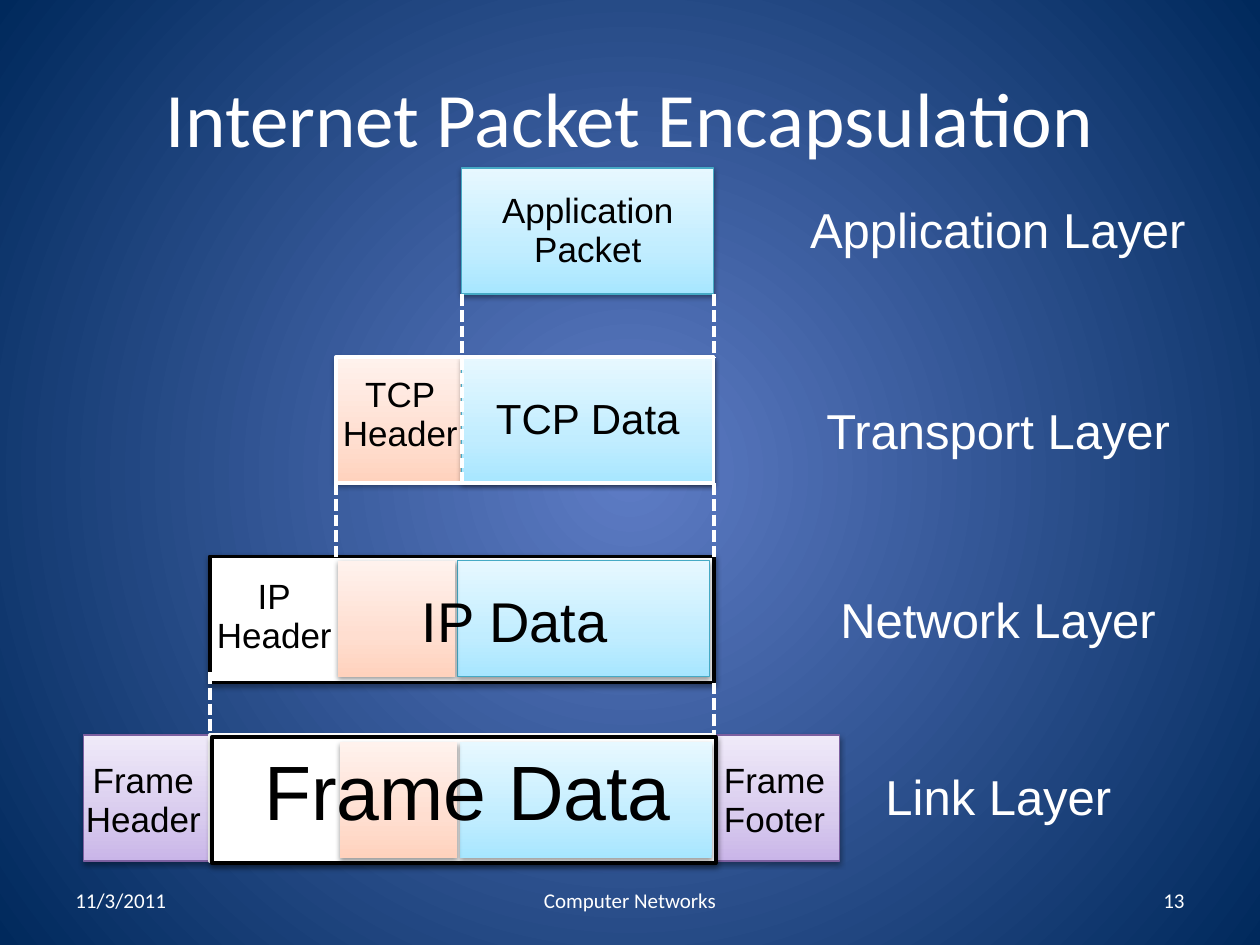
from dataclasses import dataclass
from typing import Optional

from lxml import etree
from pptx import Presentation
from pptx.dml.color import RGBColor
from pptx.enum.dml import MSO_LINE
from pptx.enum.shapes import MSO_CONNECTOR, MSO_SHAPE
from pptx.enum.text import MSO_ANCHOR, MSO_AUTO_SIZE, PP_ALIGN
from pptx.oxml.ns import qn
from pptx.util import Cm, Pt

LEFT, CENTER, RIGHT = PP_ALIGN.LEFT, PP_ALIGN.CENTER, PP_ALIGN.RIGHT
MIDDLE, TOP = MSO_ANCHOR.MIDDLE, MSO_ANCHOR.TOP
FIT, DOTTED = MSO_AUTO_SIZE.SHAPE_TO_FIT_TEXT, MSO_LINE.SQUARE_DOT
WHITE, BLACK = "FFFFFF", "000000"

# Gradient stops: position in percent and colour, from bottom to top
BLUE = ((0, "A7E6FF"), (35, "C1EDFF"), (100, "E7F8FF"))
ORANGE = ((0, "FFD2BD"), (35, "FFDED0"), (100, "FFF2ED"))
PURPLE = ((0, "C9B5E8"), (35, "D8CBEE"), (100, "F0EAF9"))
BACKDROP = ((0, "5E7CC5"), (100, "00295C"))
UPWARD = {"tag": "lin", "ang": "16200000", "scaled": "0"}
RADIAL = {"tag": "path", "path": "circle"}

# Grid in centimetres: header columns of one cell, one row per layer
CELL = 2.54
COLUMN = [round(1.69 + CELL * number, 2) for number in range(7)]
APPLICATION, TRANSPORT, NETWORK, LINK = 3.39, 7.2, 11.22, 14.82
INNER_HEIGHT, INNER_HEADER = 2.34, 2.36


@dataclass
class Box:
    left: float
    top: float
    width: float
    height: float = CELL
    fill: Optional[object] = None  # gradient stops, a hex colour or nothing
    line: Optional[str] = None
    weight: float = 0.75
    dotted: bool = False
    text: str = ""
    size: int = 20


@dataclass
class Label:
    text: str
    left: float
    top: float
    width: float
    height: float
    size: int
    color: str = BLACK
    align: PP_ALIGN = LEFT
    font: str = "Arial"
    spacing: float = 0.93
    anchor: MSO_ANCHOR = TOP
    wrap: bool = False


def rgb(value: str) -> RGBColor:
    return RGBColor.from_string(value)


def apply_format(target, values: dict) -> None:
    for name, value in values.items():
        setattr(target, name, value)


def paint_gradient(owner, fill, stops, direction: dict) -> None:
    fill.gradient()
    gradient = owner.find(".//" + qn("a:gradFill"))
    for child in list(gradient):
        gradient.remove(child)
    stop_list = etree.SubElement(gradient, qn("a:gsLst"))
    for position, color in stops:
        stop = etree.SubElement(stop_list, qn("a:gs"), pos=str(position * 1000))
        etree.SubElement(stop, qn("a:srgbClr"), val=color)
    options = {key: value for key, value in direction.items() if key != "tag"}
    course = etree.SubElement(gradient, qn("a:" + direction["tag"]), options)
    if direction is RADIAL:
        edges = dict.fromkeys("ltrb", "50000")
        etree.SubElement(course, qn("a:fillToRect"), edges)


def add_soft_shadow(shape) -> None:
    effects = shape._element.spPr.find(qn("a:effectLst"))
    shadow = etree.SubElement(effects, qn("a:outerShdw"), blurRad="40000",
                              dist="20000", dir="5400000", rotWithShape="0")
    color = etree.SubElement(shadow, qn("a:srgbClr"), val=BLACK)
    etree.SubElement(color, qn("a:alpha"), val="38000")


def write_text(frame, text: str, size: int, color: str, align=CENTER,
               font: str = "Arial", spacing: float = 0.93) -> None:
    frame.text = text
    for para in frame.paragraphs:
        apply_format(para, {"alignment": align, "line_spacing": spacing})
        apply_format(para.font, {"name": font, "size": Pt(size)})
        for span in para.runs:
            apply_format(span.font, {"name": font, "size": Pt(size)})
            span.font.color.rgb = rgb(color)


def draw_box(page, box: Box) -> None:
    shape = page.shapes.add_shape(MSO_SHAPE.RECTANGLE, Cm(box.left), Cm(box.top),
                                  Cm(box.width), Cm(box.height))
    if box.fill is None:
        shape.fill.background()
    elif isinstance(box.fill, str):
        shape.fill.solid()
        shape.fill.fore_color.rgb = rgb(box.fill)
    else:
        paint_gradient(shape._element, shape.fill, box.fill, UPWARD)
    if box.line:
        shape.line.color.rgb = rgb(box.line)
        shape.line.width = Pt(box.weight)
        if box.dotted:
            shape.line.dash_style = DOTTED
    else:
        shape.line.fill.background()
    shape.shadow.inherit = False
    if box.fill:
        add_soft_shadow(shape)
    if box.text:
        shape.text_frame.vertical_anchor = MIDDLE
        write_text(shape.text_frame, box.text, box.size, BLACK)


def draw_label(page, label: Label) -> None:
    frame = page.shapes.add_textbox(Cm(label.left), Cm(label.top), Cm(label.width),
                                    Cm(label.height)).text_frame
    apply_format(frame, {"word_wrap": label.wrap, "vertical_anchor": label.anchor})
    if label.anchor == TOP:
        frame.auto_size = FIT
    write_text(frame, label.text, label.size, label.color, label.align,
               label.font, label.spacing)


def draw_guide(page, x: float, top: float, bottom: float) -> None:
    guide = page.shapes.add_connector(MSO_CONNECTOR.STRAIGHT, Cm(x), Cm(top),
                                      Cm(x), Cm(bottom))
    guide.line.color.rgb = rgb(WHITE)
    apply_format(guide.line, {"width": Pt(2.25), "dash_style": DOTTED})
    etree.SubElement(guide._element.spPr, qn("a:effectLst"))


def header_label(text: str, left: float, top: float, width: float = 2.84) -> Label:
    return Label(text, left, top, width, 1.85, 20, align=CENTER)


def layer_label(text: str, left: float, top: float, width: float) -> Label:
    return Label(text, left, top, width, 1.37, 28, WHITE)


def footer_label(text: str, left: float, width: float, align) -> Label:
    return Label(text, left, 17.65, width, 1.01, 12, WHITE, align, "Calibri", 1.0,
                 MIDDLE, True)


PARTS = [
    # Frame and IP packet
    Box(COLUMN[0], LINK, 6 * CELL, fill=PURPLE, line="7D60A0"),
    Box(COLUMN[1], NETWORK, 4 * CELL, fill=WHITE, line=BLACK, weight=2.25),
    # Footer
    footer_label("11/3/2011", 1.27, 5.93, LEFT),
    footer_label("Computer Networks", 8.68, 8.04, CENTER),
    footer_label("13", 18.2, 5.93, RIGHT),
    # TCP segment and application packet
    Box(COLUMN[2], TRANSPORT, 3 * CELL, fill=ORANGE, line="F69240"),
    Box(COLUMN[3], APPLICATION, 2 * CELL, fill=BLUE, line="46AAC5",
        text="Application Packet"),
    Box(COLUMN[3], TRANSPORT, 2 * CELL, fill=BLUE, line="46AAC5",
        text="TCP Data", size=24),
    # Headers and footer of the packets
    header_label("TCP\nHeader", 6.65, 7.46),
    header_label("IP\nHeader", 4.11, 11.53),
    header_label("Frame\nHeader", 1.47, 15.24),
    header_label("Frame\nFooter", 14.33, 15.24, 2.57),
    # White outlines
    Box(COLUMN[3], TRANSPORT, 2 * CELL, line=WHITE, weight=2, dotted=True),
    Box(COLUMN[2], TRANSPORT, 3 * CELL, line=WHITE, weight=2),
    Box(COLUMN[1], LINK, 4 * CELL, line=WHITE, weight=2),
    # Layer names
    layer_label("Application Layer", 16.08, 4.01, 8.18),
    layer_label("Transport Layer", 16.41, 8.05, 7.54),
    layer_label("Network Layer", 16.69, 11.86, 6.96),
    layer_label("Link Layer", 17.6, 15.44, 5.13),
    # Contents of the IP packet
    Box(9.22, 11.3, 2 * CELL, INNER_HEIGHT, BLUE, "46AAC5"),
    Box(6.81, 11.3, INNER_HEADER, INNER_HEIGHT, ORANGE),
    Label("IP Data", 6.99, 11.81, 6.78, 1.52, 32, align=CENTER, wrap=True),
    # Contents of the frame
    Box(4.27, 14.86, 4 * CELL, fill=WHITE, line=BLACK, weight=2.25),
    Box(9.27, 14.96, 2 * CELL, INNER_HEIGHT, BLUE),
    Box(6.86, 14.96, INNER_HEADER, INNER_HEIGHT, ORANGE),
    Label("Frame Data", 5.08, 15.04, 8.79, 2.13, 44),
]

GUIDES = [
    (COLUMN[3], APPLICATION + CELL, TRANSPORT),
    (COLUMN[5], APPLICATION + CELL, TRANSPORT),
    (COLUMN[2], TRANSPORT + CELL, NETWORK),
    (COLUMN[5], TRANSPORT + CELL, NETWORK),
    (COLUMN[1], 13.55, LINK),
    (COLUMN[5], NETWORK + CELL, 15.03),
]


def main() -> None:
    deck = Presentation()
    apply_format(deck, {"slide_width": Cm(25.4), "slide_height": Cm(19.05)})
    page = deck.slides.add_slide(deck.slide_layouts[5])
    paint_gradient(page._element, page.background.fill, BACKDROP, RADIAL)

    title = page.shapes.title
    apply_format(title, {"left": Cm(1.27), "top": Cm(0.76),
                         "width": Cm(22.86), "height": Cm(3.18)})
    title.text_frame.vertical_anchor = MIDDLE
    write_text(title.text_frame, "Internet Packet Encapsulation", 44, WHITE,
               font="Calibri", spacing=1.0)

    # Guides lie above the white outlines and below the contents of the frame
    for part in PARTS:
        if isinstance(part, Label) and part.text == "Application Layer":
            for guide in GUIDES:
                draw_guide(page, *guide)
        draw = draw_box if isinstance(part, Box) else draw_label
        draw(page, part)
    deck.save("out.pptx")


if __name__ == "__main__":
    main()
